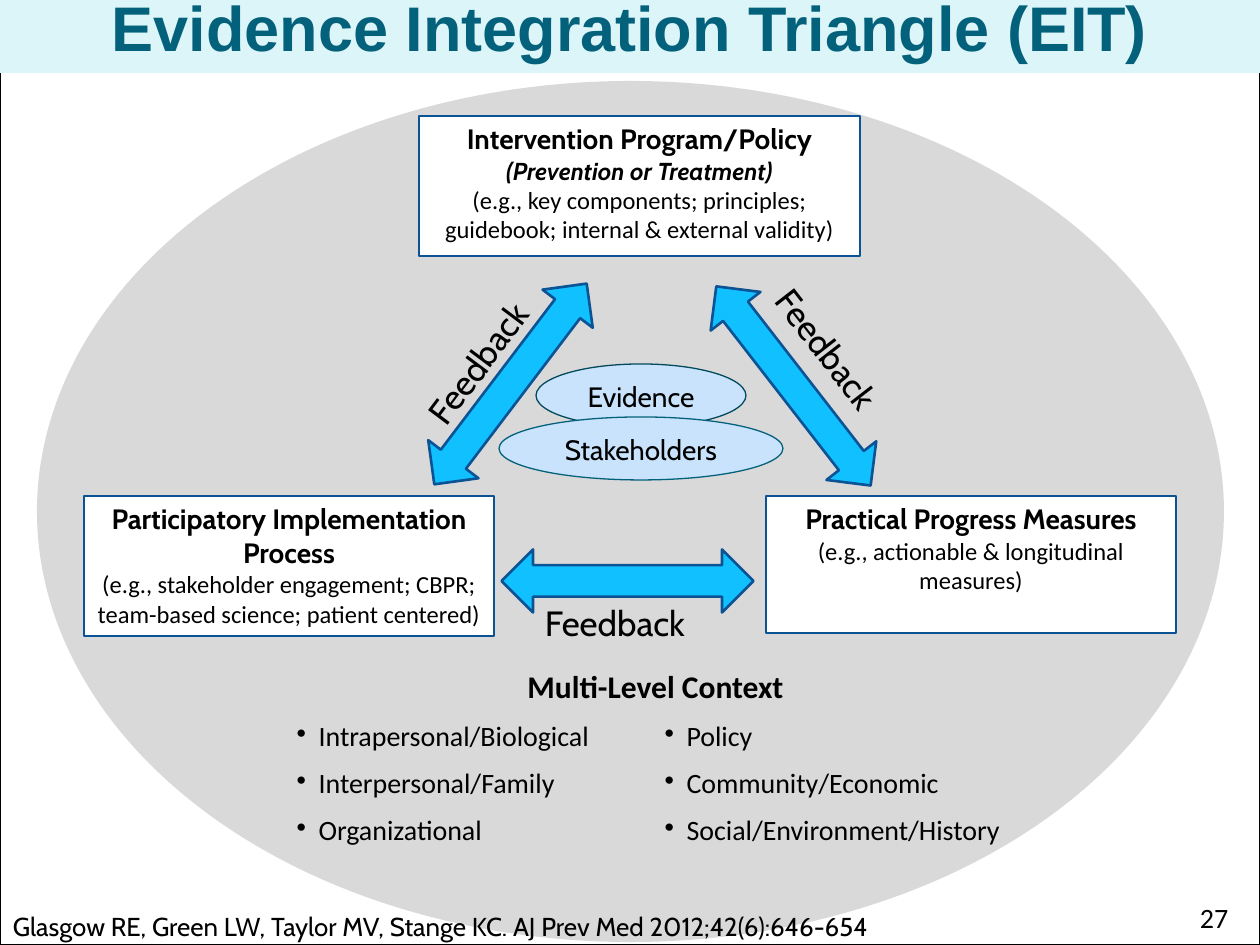
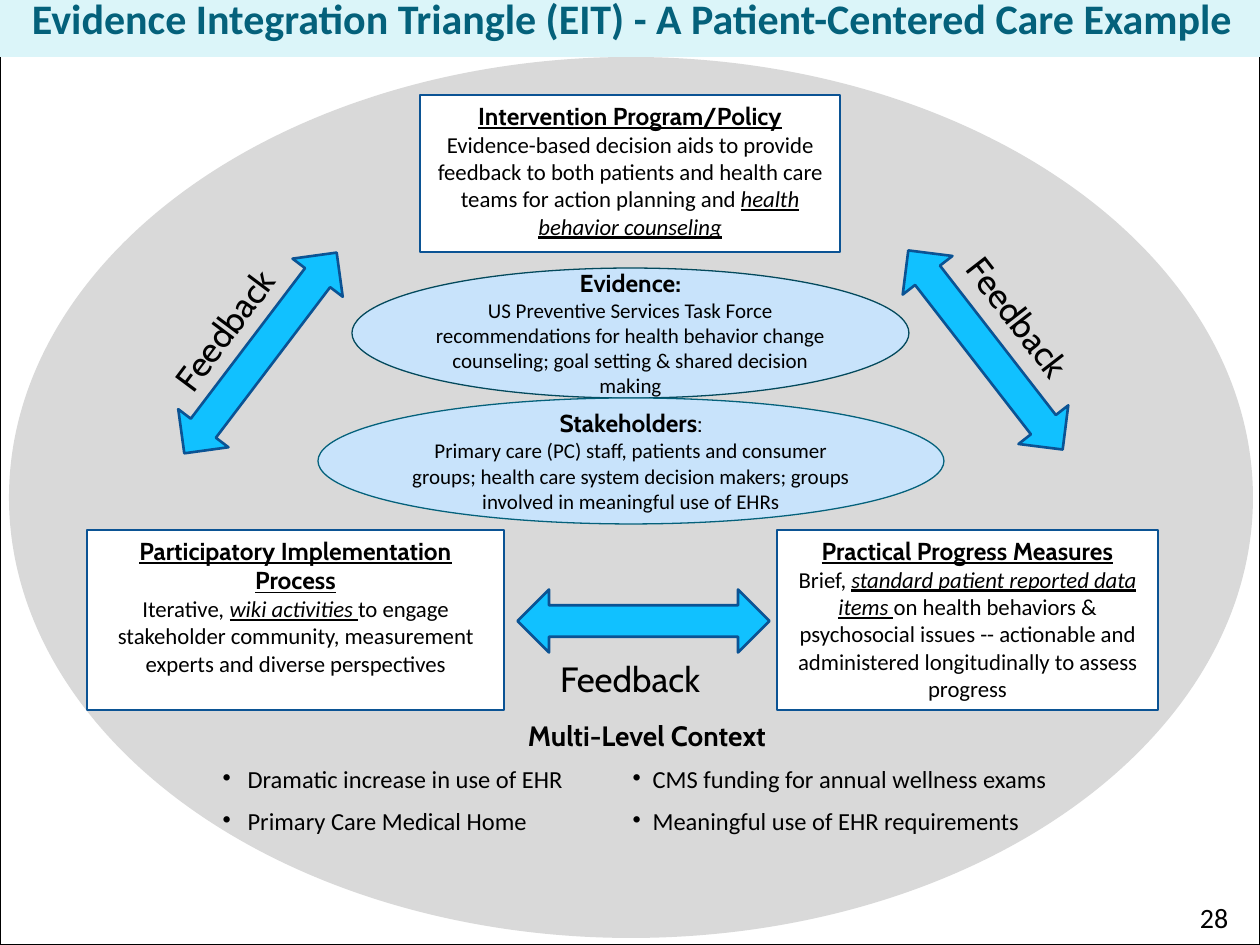
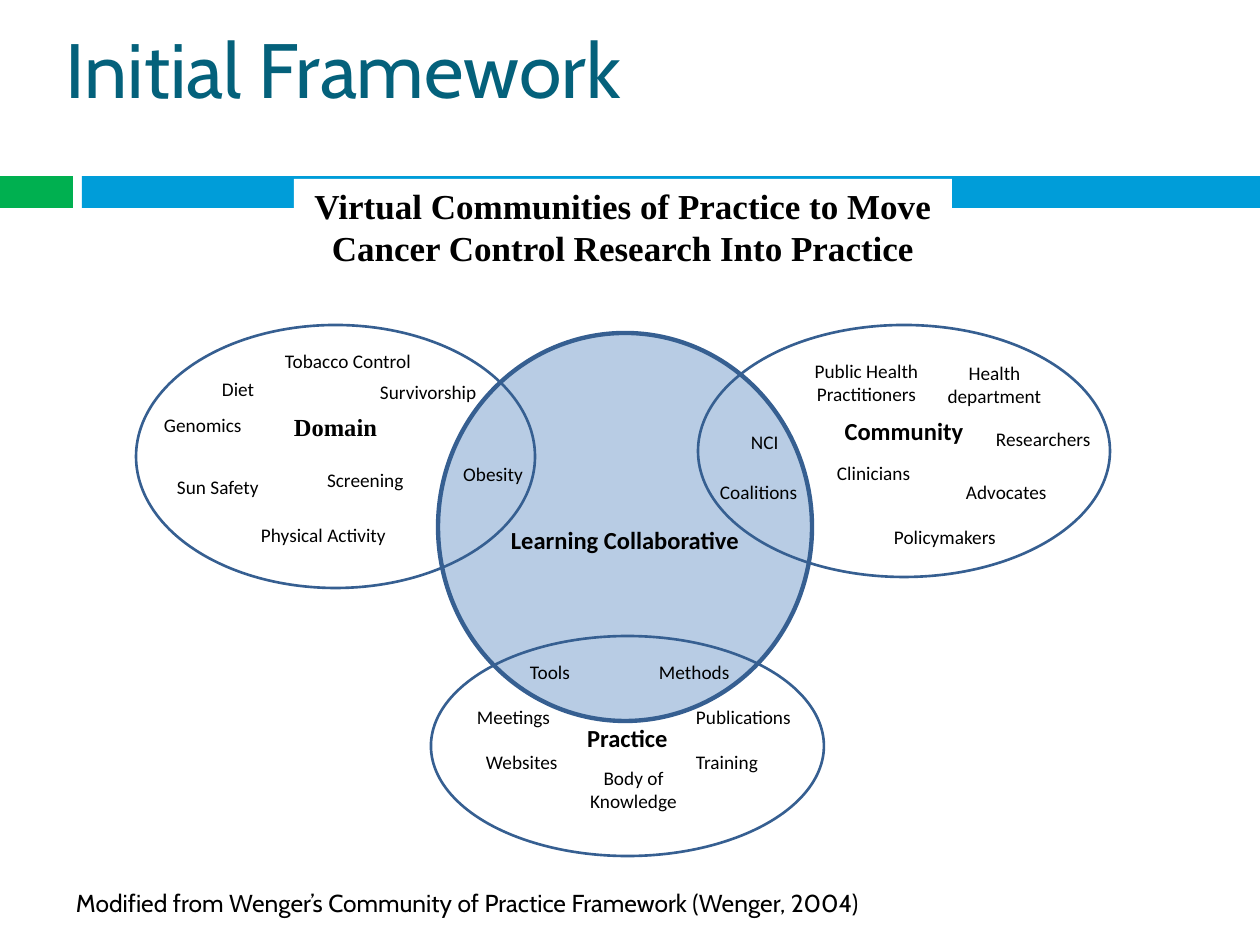
from dataclasses import dataclass
from typing import NamedTuple, Optional

from pptx import Presentation
from pptx.dml.color import RGBColor
from pptx.enum.shapes import MSO_SHAPE as Preset
from pptx.enum.text import MSO_ANCHOR as Anchor, PP_ALIGN as Align
from pptx.oxml.ns import qn
from pptx.oxml.xmlchemy import OxmlElement
from pptx.util import Pt

# Scale, colours and fonts
PX_PER_INCH = 126
WHITE = RGBColor(0xFF, 0xFF, 0xFF)
BLACK = RGBColor(0x00, 0x00, 0x00)
GREY = RGBColor(0xD9, 0xD9, 0xD9)
TEAL = RGBColor(0x04, 0x61, 0x7B)
DARK_TEAL = RGBColor(0x03, 0x49, 0x5C)
PALE_TEAL = RGBColor(0xDB, 0xF5, 0xF9)
PALE_BLUE = RGBColor(0xC8, 0xE3, 0xFB)
ARROW_BLUE = RGBColor(0x11, 0xC1, 0xFF)
NAVY = RGBColor(0x0B, 0x53, 0x94)
BAND_GREEN = RGBColor(0x00, 0xB0, 0x50)
BAND_BLUE = RGBColor(0x00, 0x9D, 0xD9)
VENN_FILL = RGBColor(0xB8, 0xCC, 0xE4)
VENN_LINE = RGBColor(0x36, 0x5F, 0x91)
CABIN, CALIBRI, ARIAL, TIMES = "Cabin", "Calibri", "Arial", "Times New Roman"
NO_GRID_STYLE = "{2D5ABB26-0587-4C30-8999-92F81FD0307C}"


def px(length: int) -> int:
    return round(length * 914400 / PX_PER_INCH)


class Run(NamedTuple):
    text: str
    size: float
    font: str = CALIBRI
    bold: bool = False
    italic: bool = False
    underline: bool = False
    color: RGBColor = BLACK


class Area(NamedTuple):
    left: int
    top: int
    width: int
    height: int


class Insets(NamedTuple):
    left: int = 13
    top: int = 6
    right: int = 13
    bottom: int = 6


NO_INSETS = Insets(0, 0, 0, 0)
Paragraphs = list[list[Run]]


@dataclass
class Box:
    area: Area
    paragraphs: Paragraphs
    align: Align = Align.LEFT
    anchor: Anchor = Anchor.TOP
    insets: Insets = Insets()
    rotation: float = 0
    preset: Optional[Preset] = None
    fill: Optional[RGBColor] = None
    line: Optional[RGBColor] = None
    weight: float = 0.75


@dataclass
class Context:
    """Multi-level context table: one header over two bulleted columns."""
    left: int
    top: int
    widths: tuple[int, int]
    heading: Run
    size: int
    heights: tuple[int, int]
    hangs: tuple[int, int]
    rows: list[tuple[str, str]]


@dataclass
class Triangle:
    title: Run
    title_area: Area
    backdrop: Area
    arrows: list[tuple[int, int]]
    feedback: list[Area]
    corners: list[tuple[Area, Paragraphs]]
    centre: list[tuple[Area, Paragraphs]]
    centre_anchor: Anchor
    centre_insets: Insets
    context: Context
    number: str


# Drawing helpers
def write_runs(paragraph, runs: list[Run], align: Align) -> None:
    paragraph.alignment = align
    for item in runs:
        run = paragraph.add_run()
        run.text = item.text
        font = run.font
        font.size, font.name = Pt(item.size), item.font
        font.bold, font.italic = item.bold, item.italic
        font.underline = item.underline
        font.color.rgb = item.color


def draw(slide, box: Box) -> None:
    bounds = [px(length) for length in box.area]
    if box.preset is None:
        shape = slide.shapes.add_textbox(*bounds)
    else:
        shape = slide.shapes.add_shape(box.preset, *bounds)
        shape.shadow.inherit = False
        if box.fill is None:
            shape.fill.background()
        else:
            shape.fill.solid()
            shape.fill.fore_color.rgb = box.fill
        if box.line is None:
            shape.line.fill.background()
        else:
            shape.line.color.rgb = box.line
            shape.line.width = Pt(box.weight)
    shape.rotation = box.rotation
    frame = shape.text_frame
    frame.word_wrap = True
    frame.vertical_anchor = box.anchor
    frame.margin_left, frame.margin_top, frame.margin_right, frame.margin_bottom = (
        px(inset) for inset in box.insets)
    for index, runs in enumerate(box.paragraphs):
        paragraph = frame.add_paragraph() if index else frame.paragraphs[0]
        write_runs(paragraph, runs, box.align)


def add_bullet(paragraph, hang: int) -> None:
    properties = paragraph._p.get_or_add_pPr()
    properties.set("marL", str(px(hang)))
    properties.set("indent", str(-px(hang)))
    bullet = OxmlElement("a:buChar")
    bullet.set("char", "•")
    properties.append(bullet)


def draw_context(slide, context: Context) -> None:
    head_height, row_height = context.heights
    count = len(context.rows)
    table = slide.shapes.add_table(
        count + 1, 2, px(context.left), px(context.top),
        px(sum(context.widths)), px(head_height + count * row_height)).table
    table.first_row = table.horz_banding = False
    table._tbl.tblPr.find(qn("a:tableStyleId")).text = NO_GRID_STYLE
    for column, width in zip(table.columns, context.widths):
        column.width = px(width)
    for index, row in enumerate(table.rows):
        row.height = px(row_height if index else head_height)
    for cell in table.iter_cells():
        cell.fill.background()
    heading = table.cell(0, 0)
    heading.merge(table.cell(0, 1))
    write_runs(heading.text_frame.paragraphs[0], [context.heading], Align.CENTER)
    for row, texts in enumerate(context.rows, start=1):
        for column, text in enumerate(texts):
            paragraph = table.cell(row, column).text_frame.paragraphs[0]
            write_runs(paragraph, [Run(text, context.size)], Align.LEFT)
            add_bullet(paragraph, context.hangs[column])


def draw_triangle(slide, part: Triangle) -> None:
    # Frame and backdrop
    draw(slide, Box(Area(0, -21, 1260, 966), [], preset=Preset.RECTANGLE,
                    fill=WHITE, line=BLACK))
    draw(slide, Box(part.backdrop, [], preset=Preset.OVAL, fill=GREY))
    # Feedback arrows: left, right, bottom
    for (left, top), turn in zip(part.arrows, (37.2, 322.2, 90)):
        draw(slide, Box(Area(left, top, 63, 252), [], rotation=turn,
                        preset=Preset.UP_DOWN_ARROW, fill=ARROW_BLUE,
                        line=NAVY, weight=1.5))
    # Corners of the triangle
    for area, paragraphs in part.corners:
        draw(slide, Box(area, paragraphs, Align.CENTER, preset=Preset.RECTANGLE,
                        fill=WHITE, line=NAVY))
    draw_context(slide, part.context)
    for area, turn in zip(part.feedback, (306.8, 52.2, 0)):
        draw(slide, Box(area, [[Run("Feedback", 20, CABIN)]], rotation=turn))
    # Evidence and stakeholders
    for (area, paragraphs), outline in zip(part.centre, (DARK_TEAL, TEAL)):
        draw(slide, Box(area, paragraphs, Align.CENTER, part.centre_anchor,
                        part.centre_insets, preset=Preset.OVAL,
                        fill=PALE_BLUE, line=outline))
    # Title band and slide number
    draw(slide, Box(part.title_area, [[part.title]], Align.CENTER, Anchor.MIDDLE,
                    preset=Preset.RECTANGLE, fill=PALE_TEAL))
    draw(slide, Box(Area(1187, 895, 63, 50), [[Run(part.number, 16)]]))


# Slide 1: the general triangle
GENERAL = Triangle(
    title=Run("Evidence Integration Triangle (EIT)", 36, ARIAL, True, color=TEAL),
    title_area=Area(0, -21, 1260, 94),
    backdrop=Area(37, 81, 1187, 861),
    arrows=[(479, 258), (762, 260), (596, 455)],
    feedback=[Area(392, 330, 180, 55), Area(740, 329, 185, 55),
              Area(532, 595, 193, 55)],
    corners=[
        (Area(84, 496, 410, 140), [
            [Run("Participatory Implementation Process", 16, CABIN, True)],
            [Run("(e.g., stakeholder engagement; CBPR; team-based science; "
                 "patient centered)", 14)]]),
        (Area(766, 496, 410, 137), [
            [Run("Practical Progress Measures", 16, CABIN, True)],
            [Run("(e.g., actionable & longitudinal measures)", 14)]]),
        (Area(419, 116, 441, 140), [
            [Run("Intervention Program/Policy", 16, CABIN, True)],
            [Run("(Prevention or Treatment)", 14, CABIN, True, True)],
            [Run("(e.g., key components; principles; guidebook; "
                 "internal & external validity)", 14)]]),
    ],
    centre=[(Area(536, 364, 210, 63), [[Run("Evidence", 16, CABIN)]]),
            (Area(499, 417, 284, 63), [[Run("Stakeholders", 16, CABIN)]])],
    centre_anchor=Anchor.TOP,
    centre_insets=Insets(),
    context=Context(
        284, 662, (368, 375), Run("Multi-Level Context", 18, bold=True),
        16, (48, 47), (22, 22),
        [("Intrapersonal/Biological", "Policy"),
         ("Interpersonal/Family", "Community/Economic"),
         ("Organizational", "Social/Environment/History")]),
    number="27",
)
CITATION = Box(Area(0, 905, 1124, 42), [[
    Run("Glasgow RE, Green LW, Taylor MV, Stange KC. "
        "AJ Prev Med 2012;42(6):646-654", 14.8, CABIN)]])


# Slide 2: the patient-centered example
def corner_heading(text: str) -> list[Run]:
    return [Run(text, 14, CABIN, True, underline=True)]


def stressed(text: str) -> Run:
    return Run(text, 13, italic=True, underline=True)


EXAMPLE = Triangle(
    title=Run("Evidence Integration Triangle (EIT) - A Patient-Centered Care Example",
              24, bold=True, color=TEAL),
    title_area=Area(0, -21, 1264, 78),
    backdrop=Area(9, 57, 1244, 881),
    arrows=[(229, 227), (954, 224), (612, 495)],
    feedback=[Area(136, 292, 192, 55), Area(930, 300, 193, 55),
              Area(547, 651, 193, 55)],
    corners=[
        (Area(87, 530, 417, 180), [
            corner_heading("Participatory Implementation Process"),
            [Run("Iterative", 13), Run(", ", 13, italic=True),
             stressed("wiki activities "),
             Run("to engage stakeholder community, measurement experts and "
                 "diverse perspectives", 13)]]),
        (Area(777, 530, 381, 180), [
            corner_heading("Practical Progress Measures"),
            [Run("Brief, ", 13), stressed("standard patient reported data items "),
             Run("on health behaviors & psychosocial issues -- actionable and "
                 "administered longitudinally to assess progress", 13)]]),
        (Area(420, 95, 420, 157), [
            corner_heading("Intervention Program/Policy"),
            [Run("Evidence-based decision aids to provide feedback to both patients "
                 "and health care teams for action planning and ", 13),
             stressed("health behavior counseling")]]),
    ],
    centre=[
        (Area(352, 268, 557, 130), [
            [Run("Evidence:", 14, CABIN, True)],
            [Run("US Preventive Services Task Force recommendations for health "
                 "behavior change counseling; goal setting & shared decision "
                 "making", 12)]]),
        (Area(318, 398, 626, 126), [
            [Run("Stakeholders", 14, CABIN, True), Run(":", 14, CABIN)],
            [Run("Primary care (PC) staff, patients and consumer", 12)],
            [Run("groups; health care system decision makers; groups involved in "
                 "meaningful use of EHRs", 12)]]),
    ],
    centre_anchor=Anchor.MIDDLE,
    centre_insets=NO_INSETS,
    context=Context(
        210, 713, (410, 464), Run("Multi-Level Context", 16, CABIN, True),
        14, (46, 42), (25, 20),
        [("Dramatic increase in use of EHR", "CMS funding for annual wellness exams"),
         ("Primary Care Medical Home", "Meaningful use of EHR requirements")]),
    number="28",
)


# Slide 3: the framework of overlapping circles
class Circle(NamedTuple):
    name: str
    area: Area
    text_top: int
    font: str = CALIBRI
    fill: Optional[RGBColor] = None
    weight: float = 1.5


class Topic(NamedTuple):
    text: str
    area: Area
    align: Align = Align.LEFT


BANDS = [(Area(0, 176, 73, 32), BAND_GREEN), (Area(82, 176, 1178, 32), BAND_BLUE)]
CIRCLES = [
    Circle("Learning Collaborative", Area(438, 333, 374, 388), 135,
           fill=VENN_FILL, weight=2.5),
    Circle("Domain", Area(136, 325, 399, 263), 49, TIMES),
    Circle("Practice", Area(431, 636, 393, 220), 55),
    Circle("Community", Area(698, 325, 412, 252), 54),
]
TOPICS = [
    # Domain
    Topic("Tobacco Control", Area(272, 343, 175, 40)),
    Topic("Diet", Area(209, 371, 74, 37)),
    Topic("Genomics", Area(151, 407, 132, 37)),
    Topic("Survivorship", Area(367, 374, 161, 37)),
    Topic("Sun Safety", Area(164, 469, 120, 45)),
    Topic("Screening", Area(314, 462, 120, 39)),
    Topic("Physical Activity", Area(248, 517, 185, 45)),
    Topic("Obesity", Area(433, 456, 120, 45), Align.CENTER),
    # Practice
    Topic("Tools", Area(517, 654, 115, 45)),
    Topic("Methods", Area(646, 654, 115, 45)),
    Topic("Meetings", Area(464, 699, 115, 45)),
    Topic("Publications", Area(683, 699, 131, 45)),
    Topic("Websites", Area(473, 744, 115, 45)),
    Topic("Training", Area(683, 744, 115, 45)),
    Topic("Body of Knowledge", Area(568, 760, 131, 79), Align.CENTER),
    # Community
    Topic("Public Health Practitioners", Area(780, 353, 173, 84), Align.CENTER),
    Topic("Health department", Area(919, 355, 151, 66), Align.CENTER),
    Topic("NCI", Area(738, 424, 76, 48)),
    Topic("Coalitions", Area(707, 474, 110, 37)),
    Topic("Clinicians", Area(824, 455, 115, 45)),
    Topic("Researchers", Area(983, 421, 130, 45)),
    Topic("Advocates", Area(953, 474, 115, 45)),
    Topic("Policymakers", Area(881, 519, 150, 45)),
]


def draw_framework(slide) -> None:
    for area, color in BANDS:
        draw(slide, Box(area, [], preset=Preset.RECTANGLE, fill=color))
    draw(slide, Box(Area(53, 0, 1029, 136),
                    [[Run("Initial Framework", 44, CABIN, color=TEAL)]],
                    anchor=Anchor.MIDDLE))
    for circle in CIRCLES:
        draw(slide, Box(circle.area, [[Run(circle.name, 14, circle.font, True)]],
                        Align.CENTER, insets=Insets(top=circle.text_top),
                        preset=Preset.OVAL, fill=circle.fill, line=VENN_LINE,
                        weight=circle.weight))
    for topic in TOPICS:
        draw(slide, Box(topic.area, [[Run(topic.text, 11)]], topic.align))
    draw(slide, Box(Area(294, 179, 658, 116), [[
        Run("Virtual Communities of Practice to Move Cancer Control Research "
            "Into Practice", 20, TIMES, True)]],
        Align.CENTER, preset=Preset.RECTANGLE, fill=WHITE))
    draw(slide, Box(Area(63, 882, 1144, 43), [[
        Run("Modified from Wenger’s Community of Practice Framework (Wenger, 2004)",
            14, CABIN)]]))


def main() -> None:
    deck = Presentation()
    deck.slide_width, deck.slide_height = px(1260), px(945)
    blank = deck.slide_layouts[6]
    general, example, framework = (deck.slides.add_slide(blank) for _ in range(3))
    draw_triangle(general, GENERAL)
    draw(general, CITATION)
    draw_triangle(example, EXAMPLE)
    draw_framework(framework)
    deck.save("out.pptx")


if __name__ == "__main__":
    main()
